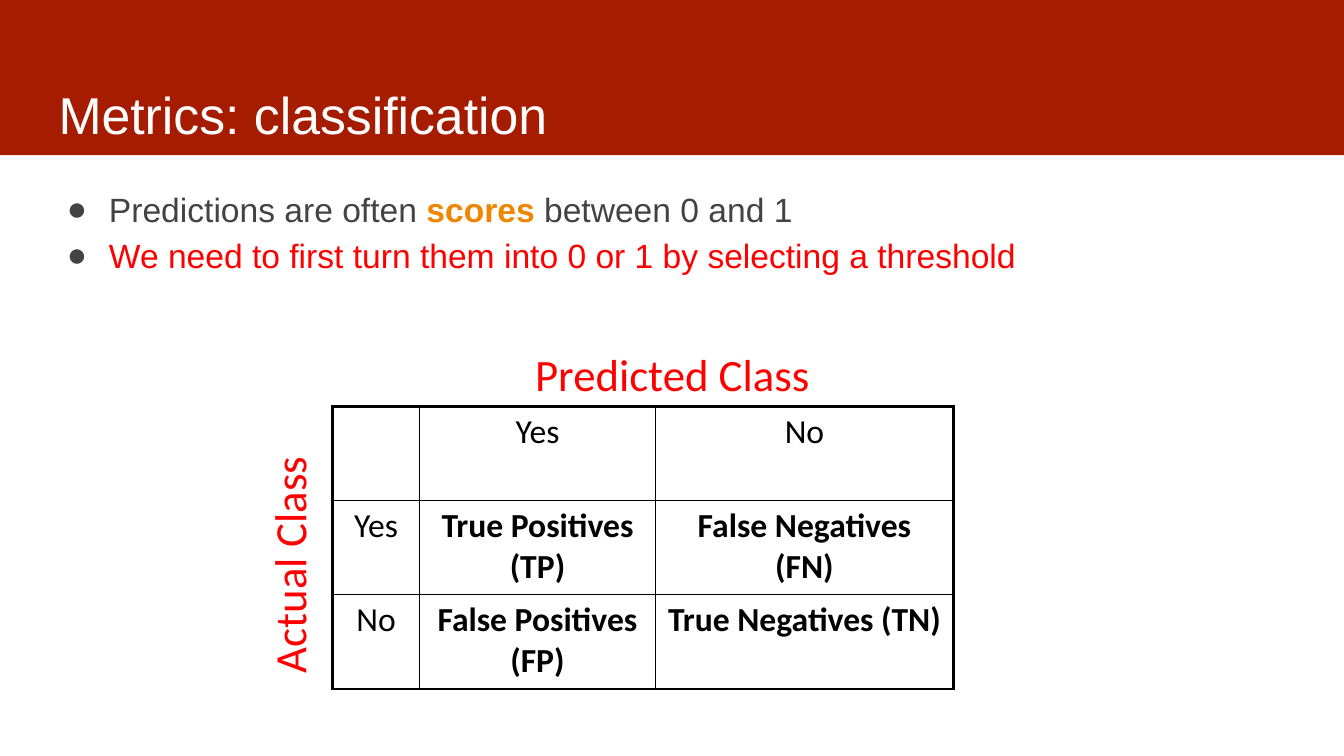
from dataclasses import dataclass

from lxml.etree import SubElement
from pptx import Presentation
from pptx.dml.color import RGBColor as Color
from pptx.enum.shapes import MSO_SHAPE as Shape
from pptx.enum.text import MSO_ANCHOR as Anchor, MSO_AUTO_SIZE as AutoSize, PP_ALIGN as Align
from pptx.oxml.ns import qn
from pptx.util import Pt


@dataclass(frozen=True)
class Theme:
    """Colours, fonts and sizes of the slide."""
    banner: str = "A61C00"
    light: str = "FFFFFF"
    body: str = "434343"
    accent: str = "EF8600"
    alert: str = "FF0000"
    ink: str = "000000"
    sans: str = "Arial"
    label: str = "Calibri"
    title_size: float = 37
    text_size: float = 24
    label_size: float = 32
    thick: float = 2.25
    thin: float = 1


THEME = Theme()
BULLETS = [
    [("Predictions are often ", THEME.body, False),
     ("scores", THEME.accent, True),
     (" between 0 and 1", THEME.body, False)],
    [("We need to first turn them into 0 or 1 by selecting a threshold", THEME.alert, False)],
]
MATRIX = [
    ["", "Yes", "No"],
    ["Yes", "True Positives (TP)", "False Negatives (FN)"],
    ["No", "False Positives (FP)", "True Negatives (TN)"],
]


def add_span(para, text, font=THEME.sans, size=THEME.text_size, color=THEME.ink, bold=False):
    """Add formatted text to a paragraph."""
    span = para.add_run()
    span.text = text
    span.font.name = font
    span.font.size = Pt(size)
    span.font.bold = bold
    span.font.color.rgb = Color.from_string(color)


def add_box(page, box, margins=(7.2, 3.6, 7.2, 3.6), wrap=True):
    """Add an empty text box with left, top, right and bottom margins."""
    shape = page.shapes.add_textbox(*map(Pt, box))
    frame = shape.text_frame
    frame.word_wrap = wrap
    frame.auto_size = AutoSize.NONE
    (frame.margin_left, frame.margin_top,
     frame.margin_right, frame.margin_bottom) = map(Pt, margins)
    return shape


def add_banner(page, box):
    """Draw the title banner."""
    left, top, width, height = box
    band = page.shapes.add_shape(Shape.RECTANGLE, *map(Pt, box))
    band.shadow.inherit = False
    band.fill.solid()
    band.fill.fore_color.rgb = Color.from_string(THEME.banner)
    band.line.fill.background()
    title_box = (left + 33.9, top + 49.7, width - 67.8, 59.8)
    frame = add_box(page, title_box, (9.4, 13.5, 9.4, 5)).text_frame
    frame.vertical_anchor = Anchor.MIDDLE
    add_span(frame.paragraphs[0], "Metrics: classification",
             size=THEME.title_size, color=THEME.light)


def add_bullets(page, box):
    """Write the bulleted list."""
    frame = add_box(page, box, (9.4,) * 4).text_frame
    for index, spans in enumerate(BULLETS):
        para = frame.add_paragraph() if index else frame.paragraphs[0]
        para.line_spacing = 1.15
        props = para._p.get_or_add_pPr()
        props.set("marL", str(Pt(36)))
        props.set("indent", str(Pt(-30)))
        bullet_color = SubElement(props, qn("a:buClr"))
        SubElement(bullet_color, qn("a:srgbClr"), val=THEME.body)
        SubElement(props, qn("a:buFont"), typeface=THEME.sans)
        SubElement(props, qn("a:buChar"), char="●")
        for text, color, bold in spans:
            add_span(para, text, color=color, bold=bold)


def set_borders(cell, outer):
    """Draw cell borders, thick on the outer edges."""
    props = cell._tc.get_or_add_tcPr()
    for side in "LRTB":
        width = THEME.thick if side in outer else THEME.thin
        line = SubElement(props, qn(f"a:ln{side}"), w=str(Pt(width)))
        fill = SubElement(line, qn("a:solidFill"))
        SubElement(fill, qn("a:srgbClr"), val=THEME.ink)


def add_axis_label(page, box, text, rotation=0, wrap=True):
    """Write the name of one axis of the matrix."""
    shape = add_box(page, box, wrap=wrap)
    shape.rotation = rotation
    add_span(shape.text_frame.paragraphs[0], text, font=THEME.label,
             size=THEME.label_size, color=THEME.alert)


def add_matrix(page, box):
    """Draw the confusion matrix with its axis labels."""
    left, top, width, height = box
    table = page.shapes.add_table(3, 3, *map(Pt, box)).table
    table.first_row = table.horz_banding = False
    for column, share in zip(table.columns, (0.14, 0.38, 0.48)):
        column.width = Pt(width * share)
    for row in table.rows:
        row.height = Pt(height / 3)
    for row, texts in enumerate(MATRIX):
        for column, text in enumerate(texts):
            cell = table.cell(row, column)
            set_borders(cell, {0: "L", 2: "R"}.get(column, "") + {0: "T", 2: "B"}.get(row, ""))
            cell.fill.background()
            para = cell.text_frame.paragraphs[0]
            para.alignment = Align.CENTER
            if text:
                add_span(para, text, font=THEME.label, bold=row > 0 and column > 0)
    add_axis_label(page, (left + 137.5, top - 46, 214.6, 46), "Predicted Class")
    add_axis_label(page, (left - 116.6, top + 89.3, 170.6, 46), "Actual Class",
                   rotation=270, wrap=False)


def main():
    """Build and save the deck."""
    deck = Presentation()
    deck.slide_width, deck.slide_height = Pt(960), Pt(540)
    page = deck.slides.add_slide(deck.slide_layouts[6])
    add_banner(page, (-1.5, -2.9, 962, 113.8))
    add_bullets(page, (32.4, 121, 894.2, 358.6))
    add_matrix(page, (237.6, 290.2, 443.5, 202))
    deck.save("out.pptx")


if __name__ == "__main__":
    main()
